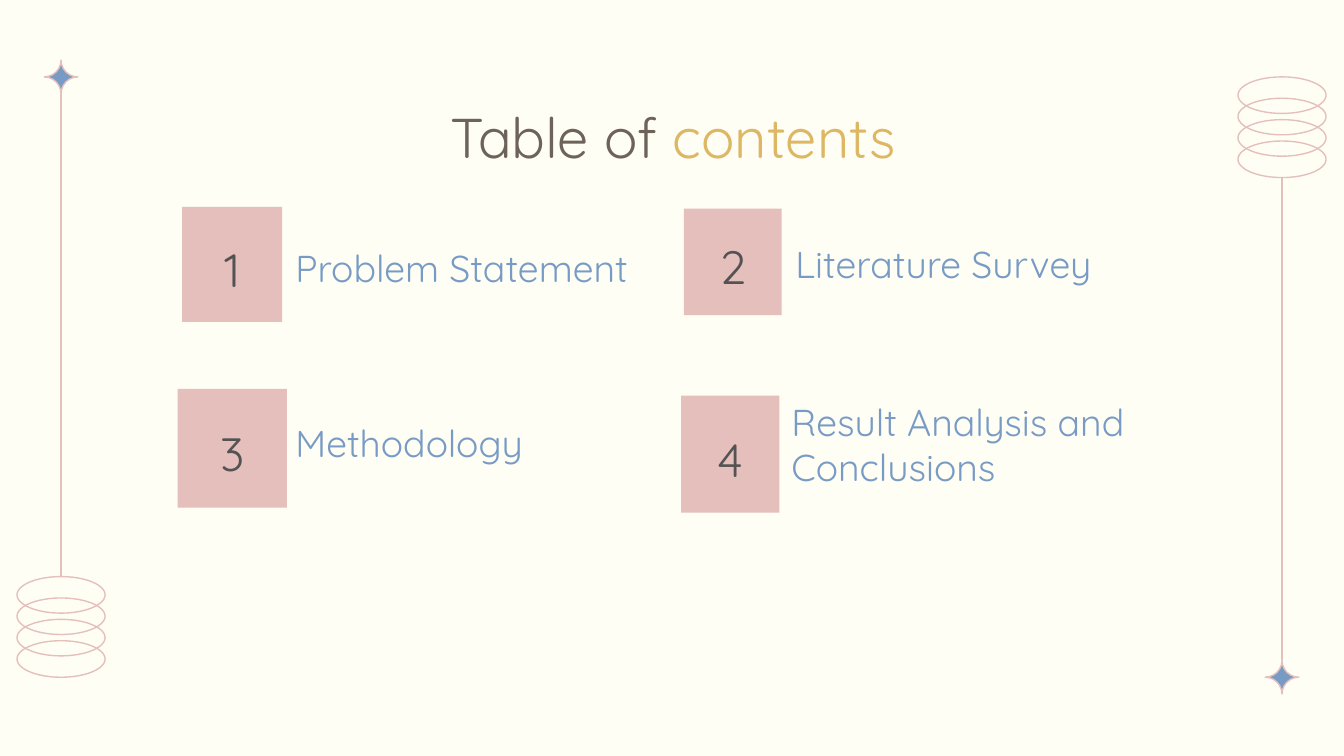
"""Build a table-of-contents slide with four numbered topics and line ornaments at both sides."""
from pptx import Presentation
from pptx import util as u
from pptx.dml.color import RGBColor
from pptx.enum import shapes, text
from pptx.oxml.ns import qn
from lxml import etree


class Theme:
    paper = RGBColor.from_string("FFFEF5")
    rose = RGBColor.from_string("E5BFBC")
    blue = RGBColor.from_string("789BC5")
    brown = RGBColor.from_string("6D635B")
    gold = RGBColor.from_string("DDB763")
    grey = RGBColor.from_string("535353")
    font = "Quicksand"
    title_size, number_size, topic_size = u.Pt(30), u.Pt(25), u.Pt(20)
    stroke = u.Pt(0.75)


def write(holder, runs, size, anchor, align, spacing=None):
    frame = holder.text_frame
    frame.word_wrap = True
    frame.vertical_anchor = anchor
    frame.margin_left = frame.margin_right = u.Pt(7.2)
    frame.margin_top = frame.margin_bottom = u.Pt(7.2)
    paragraph = frame.paragraphs[0]
    paragraph.alignment = align
    paragraph.line_spacing = spacing
    for words, color in runs:
        run = paragraph.add_run()
        run.text = words
        run.font.name = Theme.font
        run.font.size = size
        run.font.color.rgb = color


def draw(kind, left, top, width, height, fill=None, outlined=True):
    figure = slide.shapes.add_shape(kind, u.Pt(left), u.Pt(top), u.Pt(width), u.Pt(height))
    figure.shadow.inherit = False
    if fill is None:
        figure.fill.background()
    else:
        figure.fill.solid()
        figure.fill.fore_color.rgb = fill
    if outlined:
        figure.line.color.rgb = Theme.rose
        figure.line.width = Theme.stroke
    else:
        figure.line.fill.background()
    return figure


deck = Presentation()
deck.slide_width, deck.slide_height = u.Pt(720), u.Pt(405)
slide = deck.slides.add_slide(deck.slide_layouts[6])
slide.background.fill.solid()
slide.background.fill.fore_color.rgb = Theme.paper

ring_width, ring_height, ring_step, star_size = 47.2, 19.6, 11.45, 18
ornaments = [
    (686.8, 41.2, 353.8, 95.2, 0),
    (32.7, 308.9, 32.2, 308.9, 2),
]
for axis, rings_top, star_top, stem_start, star_side in ornaments:
    for ring in range(4):
        draw(shapes.MSO_SHAPE.OVAL, axis - ring_width / 2, rings_top + ring * ring_step,
             ring_width, ring_height)
    star = draw(shapes.MSO_SHAPE.PLAQUE, axis - star_size / 2, star_top,
                star_size, star_size, Theme.blue)
    star.adjustments[0] = 0.5
    stem = slide.shapes.add_connector(shapes.MSO_CONNECTOR.STRAIGHT, u.Pt(axis),
                                      u.Pt(stem_start), u.Pt(axis), u.Pt(star_top))
    stem.end_connect(star, star_side)
    stem.line.color.rgb = Theme.rose
    stem.line.width = Theme.stroke
    etree.SubElement(stem._element.spPr, qn("a:effectLst"))

heading = slide.shapes.add_textbox(u.Pt(57), u.Pt(42.5), u.Pt(607), u.Pt(45.4))
write(heading, [("Table of ", Theme.brown), ("contents", Theme.gold)], Theme.title_size,
      text.MSO_ANCHOR.TOP, text.PP_ALIGN.CENTER, 1.15)

topic_width = 197.3
topics = [
    ("Problem Statement", (97.5, 110.8, 53.6, 61.7), (151.2, 23.8, 139)),
    ("Literature Survey", (366.4, 111.8, 52.4, 57), (419, 129.6, 31)),
    ("Methodology", (95.2, 208.3, 58.5, 63.7), (151.2, 225.4, 31)),
    ("Result Analysis and Conclusions", (364.9, 212, 52.6, 62.7), (416.9, 202.3, 67)),
]
for number, (topic, tile_box, (left, top, height)) in enumerate(topics, 1):
    tile = draw(shapes.MSO_SHAPE.RECTANGLE, *tile_box, Theme.rose, outlined=False)
    write(tile, [(str(number), Theme.grey)], Theme.number_size,
          text.MSO_ANCHOR.MIDDLE, text.PP_ALIGN.CENTER, 1.15)
    label = slide.shapes.add_textbox(u.Pt(left), u.Pt(top), u.Pt(topic_width), u.Pt(height))
    write(label, [(topic, Theme.blue)], Theme.topic_size,
          text.MSO_ANCHOR.BOTTOM, text.PP_ALIGN.LEFT)

deck.save("out.pptx")
